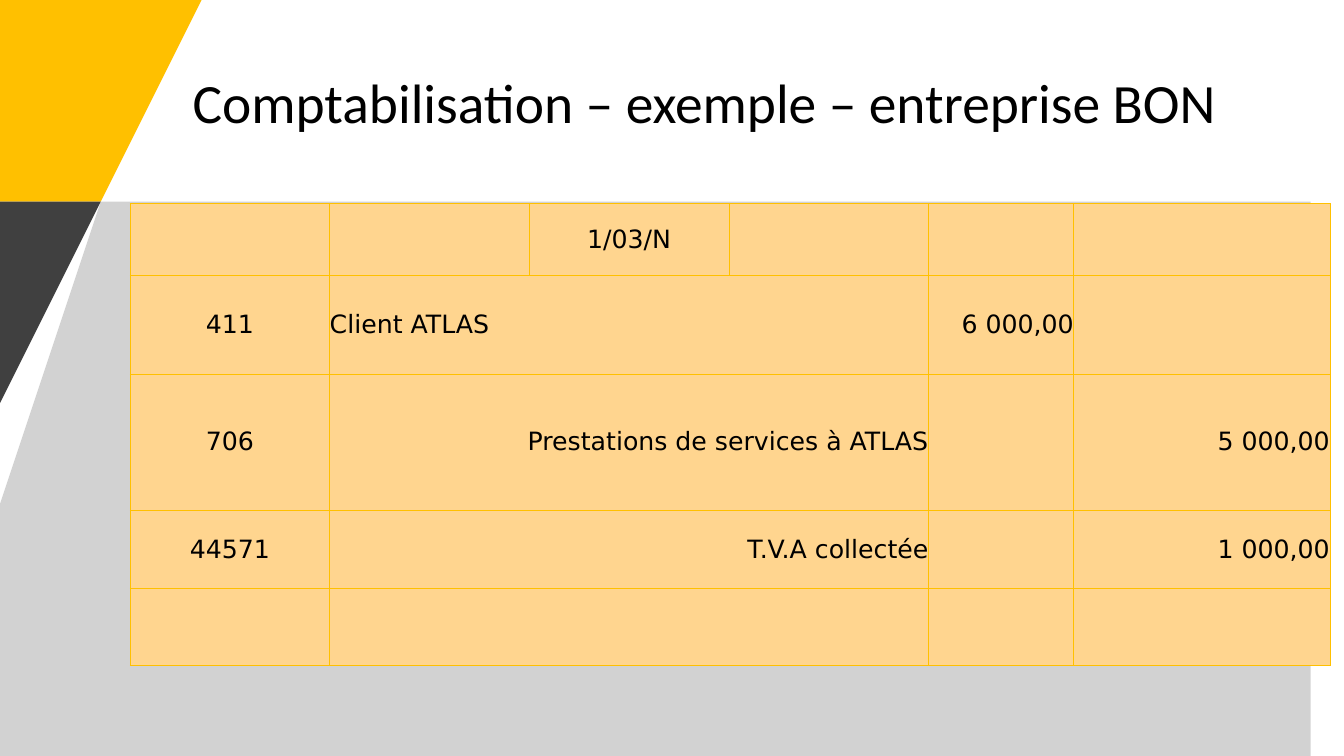
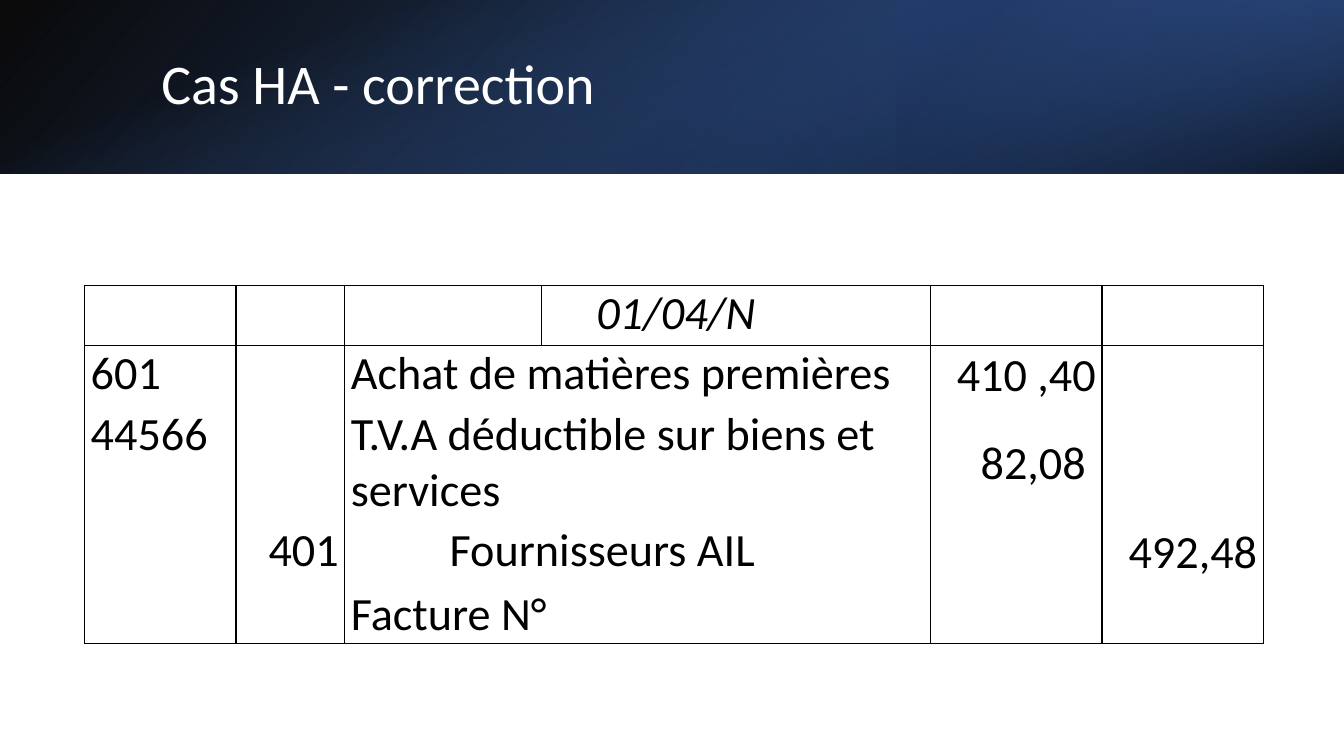
from dataclasses import dataclass, field

from lxml import etree
from pptx import Presentation
from pptx.dml.color import RGBColor
from pptx.enum.shapes import MSO_SHAPE
from pptx.enum.text import MSO_ANCHOR, MSO_AUTO_SIZE, PP_ALIGN
from pptx.oxml.ns import qn
from pptx.util import Inches, Pt

LEFT, CENTER, RIGHT = PP_ALIGN.LEFT, PP_ALIGN.CENTER, PP_ALIGN.RIGHT
TOP, MIDDLE, BOTTOM = MSO_ANCHOR.TOP, MSO_ANCHOR.MIDDLE, MSO_ANCHOR.BOTTOM
RECT, NO_FIT = MSO_SHAPE.RECTANGLE, MSO_AUTO_SIZE.NONE
TITLE_ONLY = 5
NO_STYLE = "{2D5ABB26-0587-4C30-8999-92F81FD0307C}"


# Theme
@dataclass(frozen=True)
class Theme:
    width: float = 13.33
    height: float = 7.5
    font: str = "Calibri"
    ledger_font: str = "DejaVu Sans"
    black: str = "000000"
    white: str = "FFFFFF"
    gold: str = "FFC000"
    pale_gold: str = "FFD58F"
    grey: str = "A6A6A6"
    dark_grey: str = "404040"
    blue: str = "4472C4"
    mid_blue: str = "2F5597"
    navy: str = "203864"
    ledger_size: float = 18
    entry_size: float = 33
    empty_size: float = 8


T = Theme()


@dataclass(frozen=True)
class Stop:
    pos: int
    color: str
    alpha: int = 100


@dataclass(frozen=True)
class Band:
    box: tuple[float, float, float, float]
    stops: tuple[Stop, Stop]
    angle: int
    rotation: int = 0
    flip: bool = False


@dataclass(frozen=True)
class Panel:
    points: tuple[tuple[float, float], ...]
    color: str
    alpha: int = 100


@dataclass(frozen=True)
class Entry:
    row: int
    col: int
    text: str
    align: PP_ALIGN = LEFT
    anchor: MSO_ANCHOR = MIDDLE
    italic: bool = False
    indent: float = 0
    right_pad: float = 0


@dataclass(frozen=True)
class Journal:
    left: float
    top: float
    cols: tuple[float, ...]
    rows: tuple[float, ...]
    entries: tuple[Entry, ...]
    font: str
    size: float
    pad: float
    line: str
    line_width: float
    fill: str | None = None
    merges: tuple[tuple[int, int, int], ...] = ()  # row, first and last column
    edges: dict = field(default_factory=dict)  # (row, col) -> sides


# Drawing helpers
def rgb(color: str) -> RGBColor:
    return RGBColor.from_string(color)


def add_color(parent, color: str, alpha: int = 100) -> None:
    clr = etree.SubElement(parent, qn("a:srgbClr"), val=color)
    if alpha < 100:
        etree.SubElement(clr, qn("a:alpha"), val=str(alpha * 1000))


def add_panel(slide, panel: Panel) -> None:
    builder = slide.shapes.build_freeform(*panel.points[0], scale=float(Inches(1)))
    builder.add_line_segments(panel.points[1:], close=True)
    sp = builder.convert_to_shape()
    sp.shadow.inherit = False
    sp.line.fill.background()
    sp.fill.solid()
    sp.fill.fore_color.rgb = rgb(panel.color)
    if panel.alpha < 100:
        clr = sp._element.spPr.find(qn("a:solidFill"))[0]
        etree.SubElement(clr, qn("a:alpha"), val=str(panel.alpha * 1000))


def add_band(slide, band: Band) -> None:
    sp = slide.shapes.add_shape(RECT, *(Inches(v) for v in band.box))
    sp.shadow.inherit = False
    sp.line.fill.background()
    sp.rotation = band.rotation
    spPr = sp._element.spPr
    if band.flip:
        spPr.find(qn("a:xfrm")).set("flipH", "1")
    sp.fill.gradient()
    grad = spPr.find(qn("a:gradFill"))
    grad.clear()
    stops = etree.SubElement(grad, qn("a:gsLst"))
    for stop in band.stops:
        gs = etree.SubElement(stops, qn("a:gs"), pos=str(stop.pos * 1000))
        add_color(gs, stop.color, stop.alpha)
    etree.SubElement(grad, qn("a:lin"), ang=str(band.angle * 60000), scaled="0")


def add_run(p, text: str, font: str, size: float, color: str, italic: bool = False) -> None:
    r = p.add_run()
    r.text = text
    r.font.name, r.font.size = font, Pt(size)
    r.font.color.rgb = rgb(color)
    r.font.italic = italic


def add_title(slide, text: str, box: tuple[float, float, float, float],
              size: float, color: str) -> None:
    sp = slide.shapes.title
    sp.left, sp.top, sp.width, sp.height = (Inches(v) for v in box)
    tf = sp.text_frame
    tf.auto_size = NO_FIT
    tf.word_wrap = True
    tf.vertical_anchor = MIDDLE
    p = tf.paragraphs[0]
    p.alignment, p.line_spacing = LEFT, 0.9
    add_run(p, text, T.font, size, color)
    slide.shapes._spTree.append(sp._element)  # bring in front of the bands


def add_borders(cell, sides: str, color: str, width: float) -> None:
    tcPr = cell._tc.get_or_add_tcPr()
    for side in "LRTB":
        if side in sides:
            ln = etree.SubElement(tcPr, qn(f"a:ln{side}"), w=str(Pt(width)))
            add_color(etree.SubElement(ln, qn("a:solidFill")), color)


def add_journal(slide, j: Journal) -> None:
    frame = slide.shapes.add_table(
        len(j.rows), len(j.cols), Inches(j.left), Inches(j.top),
        Inches(sum(j.cols)), Inches(sum(j.rows)))
    table = frame.table
    table.first_row = table.horz_banding = False
    table._tbl.tblPr.find(qn("a:tableStyleId")).text = NO_STYLE
    for col, width in zip(table.columns, j.cols):
        col.width = Inches(width)
    for row, height in zip(table.rows, j.rows):
        row.height = Inches(height)
    for row, first, last in j.merges:
        table.cell(row, first).merge(table.cell(row, last))

    entries = {(e.row, e.col): e for e in j.entries}
    for row in range(len(j.rows)):
        for col in range(len(j.cols)):
            cell = table.cell(row, col)
            add_borders(cell, j.edges.get((row, col), ""), j.line, j.line_width)
            if j.fill:
                cell.fill.solid()
                cell.fill.fore_color.rgb = rgb(j.fill)
            else:
                cell.fill.background()
            cell.margin_top = cell.margin_bottom = 0
            cell.margin_left = cell.margin_right = Inches(j.pad)
            p = cell.text_frame.paragraphs[0]
            e = entries.get((row, col))
            if e is None:
                etree.SubElement(p._p, qn("a:endParaRPr"), sz=str(int(T.empty_size * 100)))
                continue
            cell.margin_left = Inches(j.pad + e.indent)
            cell.margin_right = Inches(j.pad + e.right_pad)
            cell.vertical_anchor = e.anchor
            p.alignment = e.align
            add_run(p, e.text, j.font, j.size, T.black, e.italic)


# Slide 1: sales entry
PANELS = (
    Panel(((0, 0), (1.93, 0), (1.14, 1.7), (0, 1.7)), T.gold),
    Panel(((1.32, 1.85), (T.width, 1.85), (T.width, T.height), (0, T.height), (0, 4.7)),
          T.grey, 50),
    Panel(((0, 1.85), (1.06, 1.85), (0, 4.14)), T.dark_grey),
)

SALES = Journal(
    left=1.29, top=2.02,
    cols=(1.98, 1.98, 1.98, 1.98, 1.44, 2.54),
    rows=(0.71, 0.98, 1.35, 0.78, 0.76),
    font=T.ledger_font, size=T.ledger_size, pad=0,
    line=T.gold, line_width=0.5, fill=T.pale_gold,
    merges=tuple((row, 1, 3) for row in range(1, 5)),
    edges={(row, col): "LRTB" for row in range(5) for col in range(6)},
    entries=(
        Entry(0, 2, "1/03/N", CENTER),
        Entry(1, 0, "411", CENTER),
        Entry(1, 1, "Client ATLAS"),
        Entry(1, 4, "6 000,00", RIGHT),
        Entry(2, 0, "706", CENTER),
        Entry(2, 1, "Prestations de services à ATLAS", RIGHT),
        Entry(2, 5, "5 000,00", RIGHT),
        Entry(3, 0, "44571", CENTER),
        Entry(3, 1, "T.V.A collectée", RIGHT),
        Entry(3, 5, "1 000,00", RIGHT),
    ),
)

# Slide 2: purchase entry
BAND_H = 1.72
BANDS = (
    Band((0, 0, T.width, BAND_H),
         (Stop(0, T.black, 96), Stop(100, T.mid_blue)), 140, flip=True),
    Band((8.89, 0, 4.44, BAND_H),
         (Stop(19, T.navy, 68), Stop(100, T.blue, 79)), 320, rotation=180, flip=True),
    Band(((T.width - BAND_H) / 2, (BAND_H - T.width) / 2, BAND_H, T.width),
         (Stop(23, T.blue, 0), Stop(99, T.black, 74)), 340, rotation=90),
)


def purchase_edges() -> dict[tuple[int, int], str]:
    """Frame each ledger field; the first and last rows stay open."""
    edges = {}
    for col in range(8):
        sides = ("L" if col in (0, 1, 2, 6, 7) else "") + ("R" if col in (0, 1, 5, 6, 7) else "")
        edges[0, col], edges[6, col] = "B", "T"
        for row in range(1, 6):
            edges[row, col] = sides + {1: "T", 5: "B"}.get(row, "")
    return edges


PURCHASE = Journal(
    left=0.84, top=2.57,
    cols=(1.5, 1.08, 1.12, 0.83, 2.67, 1.19, 1.7, 1.6),
    rows=(0.26, 0.6, 0.6, 1.15, 0.6, 0.6, 0.26),
    font=T.font, size=T.entry_size, pad=0.06,
    line=T.black, line_width=1,
    merges=((1, 2, 3),) + tuple((row, 2, 5) for row in range(2, 6)),
    edges=purchase_edges(),
    entries=(
        Entry(1, 4, "01/04/N", CENTER, TOP, italic=True),
        Entry(2, 0, "601", anchor=TOP),
        Entry(2, 2, "Achat de matières premières", anchor=TOP),
        Entry(2, 6, "410 ,40", RIGHT),
        Entry(3, 0, "44566", anchor=TOP),
        Entry(3, 2, "T.V.A déductible sur biens et services", anchor=TOP),
        Entry(3, 6, "82,08", RIGHT, right_pad=0.1),
        Entry(4, 1, "401", RIGHT, TOP),
        Entry(4, 2, "Fournisseurs AIL", anchor=TOP, indent=0.98),
        Entry(4, 7, "492,48", RIGHT),
        Entry(5, 2, "Facture N°", anchor=BOTTOM),
    ),
)


def main() -> None:
    prs = Presentation()
    prs.slide_width, prs.slide_height = Inches(T.width), Inches(T.height)
    layout = prs.slide_layouts[TITLE_ONLY]

    s = prs.slides.add_slide(layout)
    for panel in PANELS:
        add_panel(s, panel)
    add_title(s, "Comptabilisation – exemple – entreprise BON",
              (1.81, 0.4, 11.03, 1.3), 39.6, T.black)
    add_journal(s, SALES)

    s = prs.slides.add_slide(layout)
    for band in BANDS:
        add_band(s, band)
    add_title(s, "Cas HA - correction", (1.5, 0.38, 10.98, 0.96), 40, T.white)
    add_journal(s, PURCHASE)

    prs.save("out.pptx")


if __name__ == "__main__":
    main()
